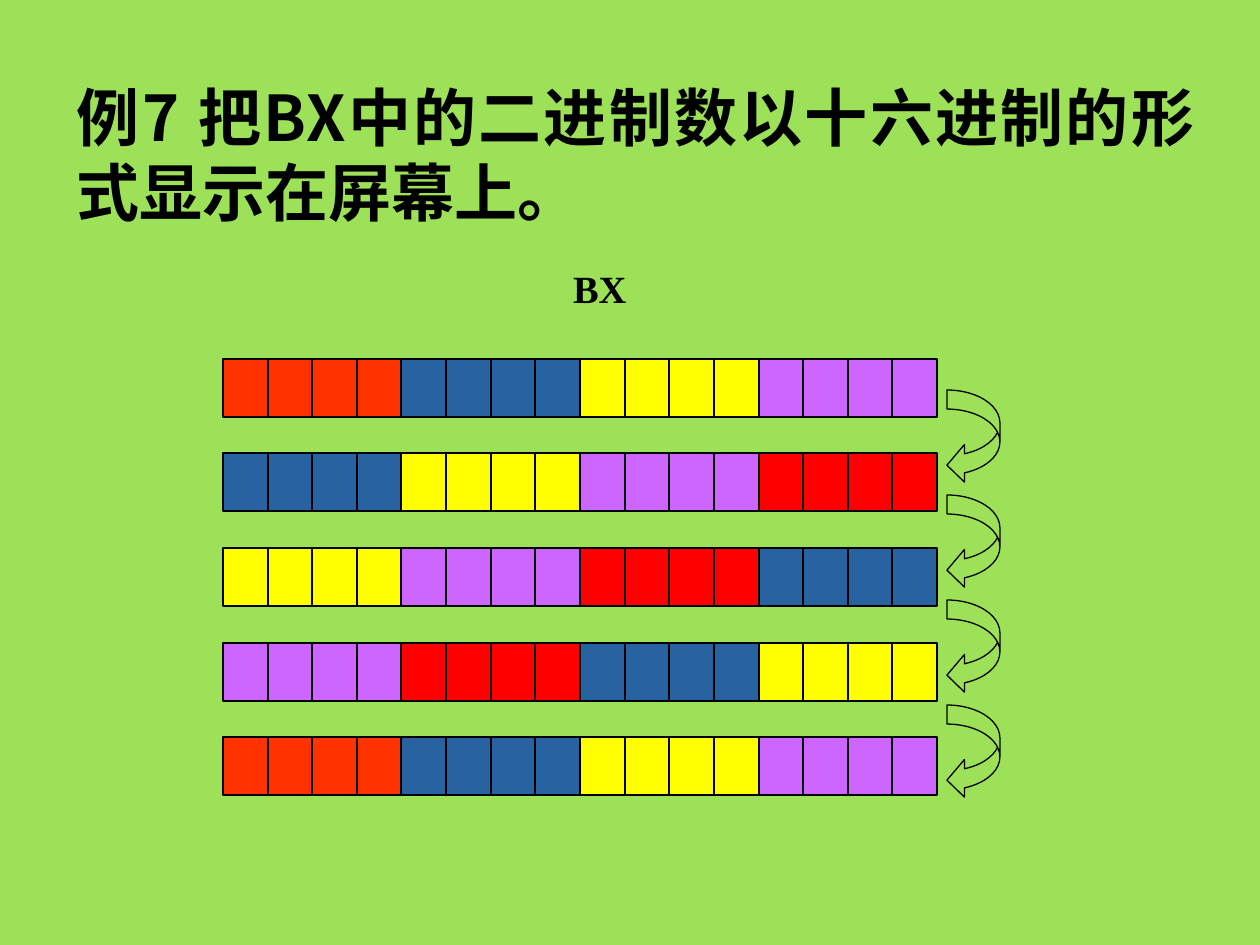
from lxml.etree import SubElement
from pptx import Presentation
from pptx.dml.color import RGBColor
from pptx.enum.shapes import MSO_SHAPE as Preset
from pptx.enum.text import MSO_ANCHOR as Anchor, PP_ALIGN as Align
from pptx.oxml.ns import qn
from pptx.util import Emu, Pt

PX = 914400 // 126
COLORS = {
    "background": "9CE157",
    "ink": "000000",
    "orange": "FF3300",
    "red": "FF0000",
    "blue": "2663A0",
    "yellow": "FFFF00",
    "violet": "CC66FF",
}


def px(*lengths):
    return [Emu(length * PX) for length in lengths]


def color(name):
    return RGBColor.from_string(COLORS[name])


class Painter:
    """Holds the slide and its style."""

    line_width = Pt(0.75)

    def __init__(self, slide):
        self.slide = slide
        fill = slide.background.fill
        fill.solid()
        fill.fore_color.rgb = color("background")

    def text(self, words, bounds, insets, size, font, spacing=None):
        box = self.slide.shapes.add_textbox(*px(*bounds))
        frame = box.text_frame
        frame.word_wrap = True
        frame.vertical_anchor = Anchor.TOP
        (frame.margin_left, frame.margin_top,
         frame.margin_right, frame.margin_bottom) = px(*insets)
        para = frame.paragraphs[0]
        para.text = words
        para.alignment = Align.JUSTIFY
        if spacing:
            para.line_spacing = Pt(spacing)
        span = para.runs[0]
        span.font.size = Pt(size)
        span.font.bold = True
        span.font.name = font
        span.font.color.rgb = color("ink")
        # East Asian glyphs take their own typeface entry
        SubElement(span.font._element, qn("a:ea"), typeface=font)

    def outline(self, shape):
        shape.shadow.inherit = False
        shape.line.color.rgb = color("ink")
        shape.line.width = self.line_width

    def register(self, left, top, width, height, nibbles, bits=4):
        """Draws one row of bit cells, coloured by nibble."""
        group = self.slide.shapes.add_group_shape()
        count = len(nibbles) * bits
        edges = [left + round(i * width / count) for i in range(count + 1)]
        for i in range(count):
            cell = group.shapes.add_shape(
                Preset.RECTANGLE,
                *px(edges[i], top, edges[i + 1] - edges[i], height))
            cell.fill.solid()
            cell.fill.fore_color.rgb = color(nibbles[i // bits])
            self.outline(cell)

    def rotation_arrow(self, left, top, width, height):
        arrow = self.slide.shapes.add_shape(
            Preset.CURVED_LEFT_ARROW, *px(left, top, width, height))
        for i, ratio in enumerate((0.36, 0.71, 0.33)):
            arrow.adjustments[i] = ratio
        arrow.fill.background()
        self.outline(arrow)


def main():
    deck = Presentation()
    deck.slide_width, deck.slide_height = px(1260, 945)
    page = deck.slides.add_slide(deck.slide_layouts[6])
    painter = Painter(page)

    # Headings
    painter.text("例7 把BX中的二进制数以十六进制的形式显示在屏幕上。",
                 (64, 66, 1144, 164), (13, 13, 13, 6),
                 36, "Noto Sans CJK SC", spacing=43)
    painter.text("BX", (522, 255, 147, 84), (51, 10, 13, 6),
                 22, "Times New Roman")

    # Register after each rotation by one nibble
    start = ["orange", "blue", "yellow", "violet"]
    cycle = ["red"] + start[1:]
    rows = [start] + [cycle[k:] + cycle[:k] for k in (1, 2, 3)] + [start]
    for i, nibbles in enumerate(rows):
        painter.register(223, 359 + round(i * 94.5), 714, 58, nibbles)

    # Arrows from each row to the next
    for i in range(len(rows) - 1):
        painter.rotation_arrow(947, 390 + i * 105, 53, 94)

    deck.save("out.pptx")


if __name__ == "__main__":
    main()
